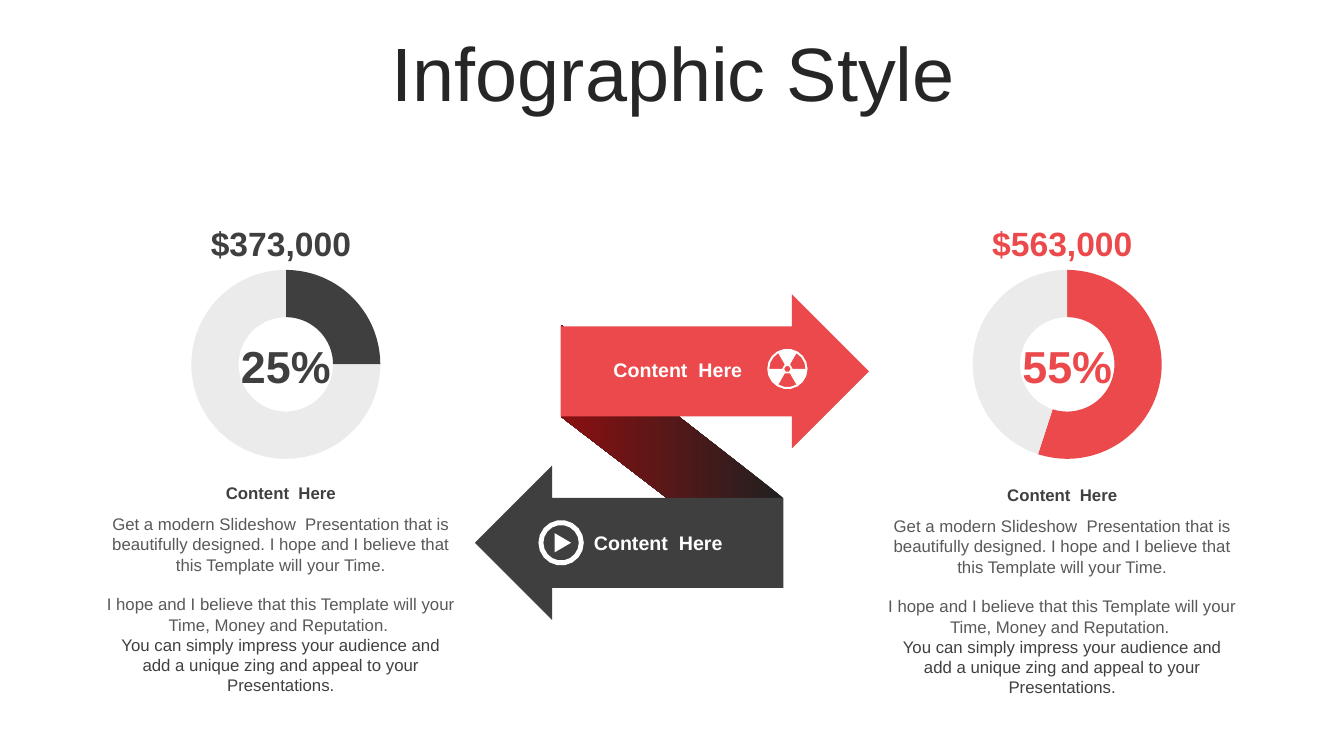
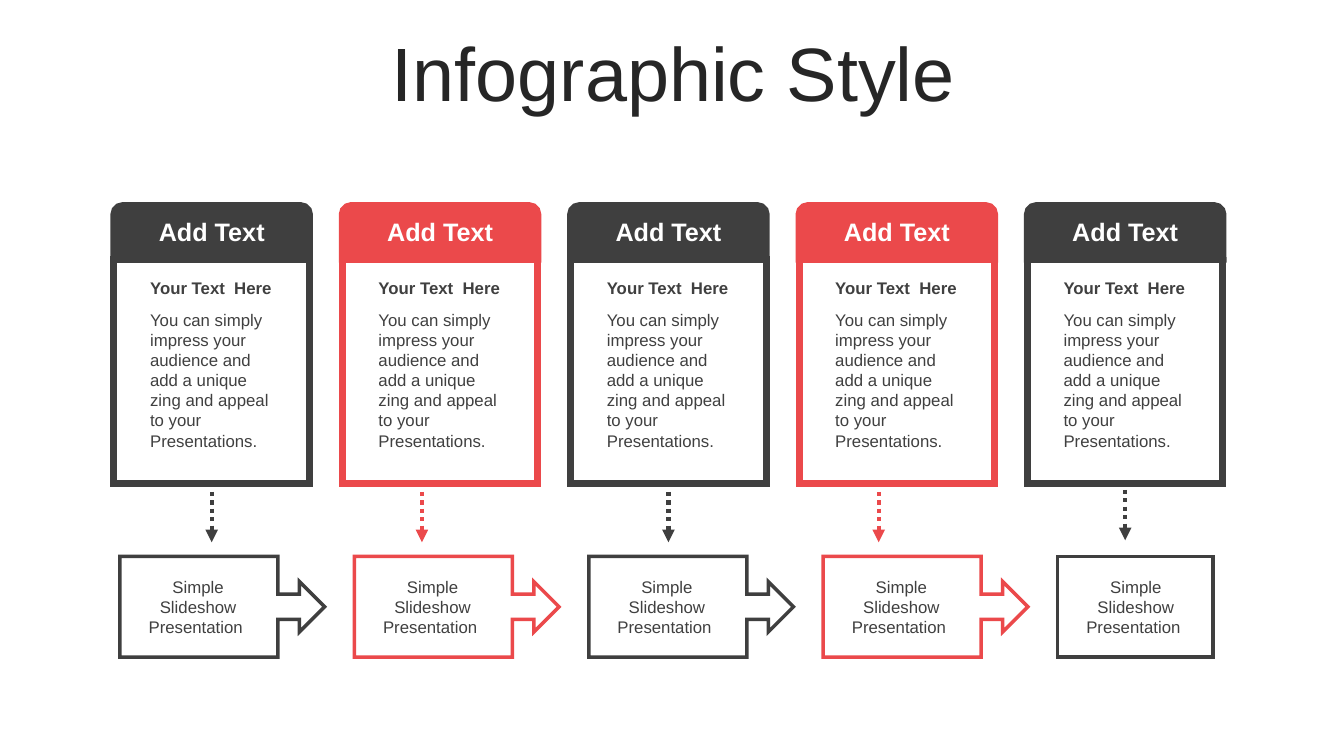
from math import cos, radians, sin

from lxml.etree import SubElement
from pptx import Presentation
from pptx.chart.data import CategoryChartData
from pptx.dml.color import RGBColor
from pptx.enum.chart import XL_CHART_TYPE
from pptx.enum.dml import MSO_LINE
from pptx.enum.shapes import MSO_CONNECTOR, MSO_SHAPE
from pptx.enum.text import MSO_ANCHOR, PP_ALIGN
from pptx.oxml.ns import qn
from pptx.util import Inches, Pt

FONT = "Arial"
COLORS = {
    "dark": "3F3F3F",
    "red": "EB494B",
    "white": "FFFFFF",
    "title": "262626",
    "text": "404040",
    "soft": "595959",
    "rest": "EBEBEB",
    "shade": "202020",
    "wine": "8B0F11",
}
PAD = (0.1, 0.05, 0.1, 0.05)
FLUSH = (0, 0.05, 0.1, 0.05)
PITCH = "You can simply impress your audience and add a unique zing and appeal to your Presentations."
STORY = (
    ("Get a modern Slideshow  Presentation that is beautifully designed. "
     "I hope and I believe that this Template will your Time.", "soft", 0),
    ("I hope and I believe that this Template will your Time, Money and Reputation. ", "soft", 14),
    (PITCH, "text", 0),
)


def tint(name):
    return RGBColor.from_string(COLORS[name])


def area(*box):
    return [Inches(n) for n in box]


def say(shape, text, size=12, color="text", bold=False, align=PP_ALIGN.CENTER,
        anchor=MSO_ANCHOR.TOP, pad=PAD, gap=0, pitch=None):
    frame = shape.text_frame
    frame.word_wrap = True
    frame.vertical_anchor = anchor
    frame.margin_left, frame.margin_top, frame.margin_right, frame.margin_bottom = area(*pad)
    para = frame.add_paragraph() if frame.text else frame.paragraphs[0]
    para.alignment = align
    if gap:
        para.space_before = Pt(gap)
    if pitch:
        para.line_spacing = pitch
    run = para.add_run()
    run.text = text
    run.font.name = FONT
    run.font.size = Pt(size)
    run.font.bold = bold
    run.font.color.rgb = tint(color)


def label(slide, box, text, **style):
    shape = slide.shapes.add_textbox(*area(*box))
    say(shape, text, **style)
    return shape


def paint(shape, fill, edge=None, width=0):
    shape.shadow.inherit = False
    shape.fill.solid()
    shape.fill.fore_color.rgb = tint(fill)
    if edge:
        shape.line.color.rgb = tint(edge)
        shape.line.width = Pt(width)
        SubElement(shape.get_or_add_ln(), qn("a:miter"), lim="800000")
    else:
        shape.line.fill.background()


def block(slide, kind, box, fill, edge=None, width=0, adjust=()):
    shape = slide.shapes.add_shape(kind, *area(*box))
    paint(shape, fill, edge, width)
    for spot, value in enumerate(adjust):
        shape.adjustments[spot] = value
    return shape


def outline(slide, left, top, loops, fill):
    loops = [[(Inches(left + x), Inches(top + y)) for x, y in loop] for loop in loops]
    pen = slide.shapes.build_freeform(*loops[0][0])
    for spot, loop in enumerate(loops):
        if spot:
            pen.move_to(*loop[0])
        pen.add_line_segments(loop[1:], close=True)
    shape = pen.convert_to_shape()
    paint(shape, fill)
    return shape


def arc(mid, radius, start=0, end=360, step=20):
    turns = range(start, end + (end - start < 360), step)
    return [(mid + radius * cos(radians(a)), mid + radius * sin(radians(a))) for a in turns]


def hazard(slide, left, top, size):
    mid = size / 2
    blades = [arc(mid, size * 0.45, a, a + 60) + arc(mid, size * 0.13, a, a + 60, 60)[::-1]
              for a in (-60, 60, 180)]
    outline(slide, left, top, [arc(mid, mid), *blades, arc(mid, size * 0.08, step=60)], "white")


def play(slide, left, top, size):
    mid = size / 2
    wedge = [(size * 0.36, size * 0.29), (size * 0.72, mid), (size * 0.36, size * 0.71)]
    outline(slide, left, top, [arc(mid, mid), arc(mid, size * 0.39), wedge], "white")


def page(deck):
    slide = deck.slides.add_slide(deck.slide_layouts[5])
    title = slide.shapes.title
    title.left, title.top, title.width, title.height = area(0.35, 0.37, 12.66, 0.79)
    say(title, "Infographic Style", size=54, color="title", anchor=MSO_ANCHOR.MIDDLE, pitch=0.9)
    return slide


def ring(slide, box, share, color):
    data = CategoryChartData()
    data.categories = ["1", "2"]
    data.add_series("Series 1", (share, 100 - share))
    chart = slide.shapes.add_chart(XL_CHART_TYPE.DOUGHNUT, *area(*box), data).chart
    chart.has_legend = False
    chart.has_title = False
    chart.font.name = FONT
    chart.font.size = Pt(18)
    plot = chart.plots[0]
    plot.vary_by_categories = True
    for spot, name in enumerate((color, "rest")):
        fill = plot.series[0].points[spot].format.fill
        fill.solid()
        fill.fore_color.rgb = tint(name)
    chart.element.xpath(".//c:holeSize")[0].set("val", "80")


def column(slide, left, top, drop, money, share, color):
    bold = dict(bold=True, anchor=MSO_ANCHOR.MIDDLE)
    label(slide, (left + 0.44, top, 2.69, 0.5), money, size=24, color=color, pad=FLUSH, **bold)
    ring(slide, (left + 0.69, top + 0.38, 2.19, 2.15), share, color)
    label(slide, (left + 1.16, top + 1.15, 1.25, 0.64), f"{share}%", size=32, color=color, **bold)
    label(slide, (left, top + drop, 3.57, 0.3), "Content  Here", pad=FLUSH, **bold)
    note = slide.shapes.add_textbox(*area(left, top + drop + 0.31, 3.57, 1.72))
    for text, shade, gap in STORY:
        say(note, text, color=shade, gap=gap, pad=FLUSH)


def ribbon(slide, left, top):
    band = outline(slide, left + 0.85, top + 0.3, [[(0, 0), (2.21, 1.72), (2.21, 2.61), (0, 0.91)]], "wine")
    band.fill.gradient()
    band.fill.gradient_angle = 180
    for stop, (name, place) in zip(band.fill.gradient_stops, (("shade", 0), ("wine", 1))):
        stop.color.rgb = tint(name)
        stop.position = place
    for x, y, turn, color in ((0.85, 0, 0, "red"), (0, 1.7, 180, "dark")):
        arrow = block(slide, MSO_SHAPE.RIGHT_ARROW, (left + x, top + y, 3.06, 1.53), color, adjust=(0.584, 0.5))
        arrow.rotation = turn
    for x, y, align in ((1.03, 0.58, PP_ALIGN.RIGHT), (1.18, 2.29, PP_ALIGN.LEFT)):
        label(slide, (left + x, top + y, 1.72, 0.34), "Content  Here", size=14, color="white",
              bold=True, align=align, anchor=MSO_ANCHOR.MIDDLE, pad=FLUSH)
    hazard(slide, left + 2.9, top + 0.54, 0.4)
    play(slide, left + 0.63, top + 2.24, 0.45)


def card(slide, left, top, color):
    block(slide, MSO_SHAPE.RECTANGLE, (left, top + 0.53, 1.94, 2.23), "white", color, 5)
    block(slide, MSO_SHAPE.ROUND_2_SAME_RECTANGLE, (left, top, 1.94, 0.53), color, color, 5)
    x = left + 0.26
    label(slide, (x, top + 0.06, 1.42, 0.4), "Add Text", size=18, color="white", bold=True)
    label(slide, (x, top + 0.67, 1.42, 0.3), "Your Text  Here", bold=True, align=PP_ALIGN.LEFT)
    label(slide, (x, top + 0.98, 1.42, 1.51), PITCH, align=PP_ALIGN.LEFT)


def drop(slide, x, top, color):
    line = slide.shapes.add_connector(MSO_CONNECTOR.STRAIGHT, *area(x, top, x, top + 0.5))
    line.line.color.rgb = tint(color)
    line.line.width = Pt(3)
    line.line.dash_style = MSO_LINE.ROUND_DOT
    SubElement(line.get_or_add_ln(), qn("a:tailEnd"), type="triangle")
    SubElement(line.element.spPr, qn("a:effectLst"))


def step(slide, left, top, color, last):
    if last:
        block(slide, MSO_SHAPE.RECTANGLE, (left, top, 1.54, 1), "white", color, 2.5)
    else:
        block(slide, MSO_SHAPE.RIGHT_ARROW_CALLOUT, (left, top, 2.03, 1), "white", color, 2.5,
              (0.25, 0.25, 0.25, 0.772))
    label(slide, (left + 0.17, top + 0.15, 1.21, 0.71), "Simple Slideshow Presentation ")


def budget(deck):
    slide = page(deck)
    ribbon(slide, 4.71, 2.92)
    column(slide, 8.8, 2.16, 2.6, "$563,000", 55, "red")
    column(slide, 1.05, 2.16, 2.58, "$373,000", 25, "dark")


def process(deck):
    slide = page(deck)
    count = 5
    for spot in range(count):
        color = "red" if spot % 2 else "dark"
        last = spot == count - 1
        left = 1.13 + spot * 9.06 / (count - 1)
        card(slide, left, 2.04, color)
        drop(slide, left + (0.79 if spot % 2 else 0.97), 4.86 if last else 4.88, color)
        step(slide, 1.19 + spot * 9.3 / (count - 1), 5.52, color, last)


def main():
    deck = Presentation()
    deck.slide_width, deck.slide_height = area(13.33, 7.5)
    budget(deck)
    process(deck)
    deck.save("out.pptx")


if __name__ == "__main__":
    main()
